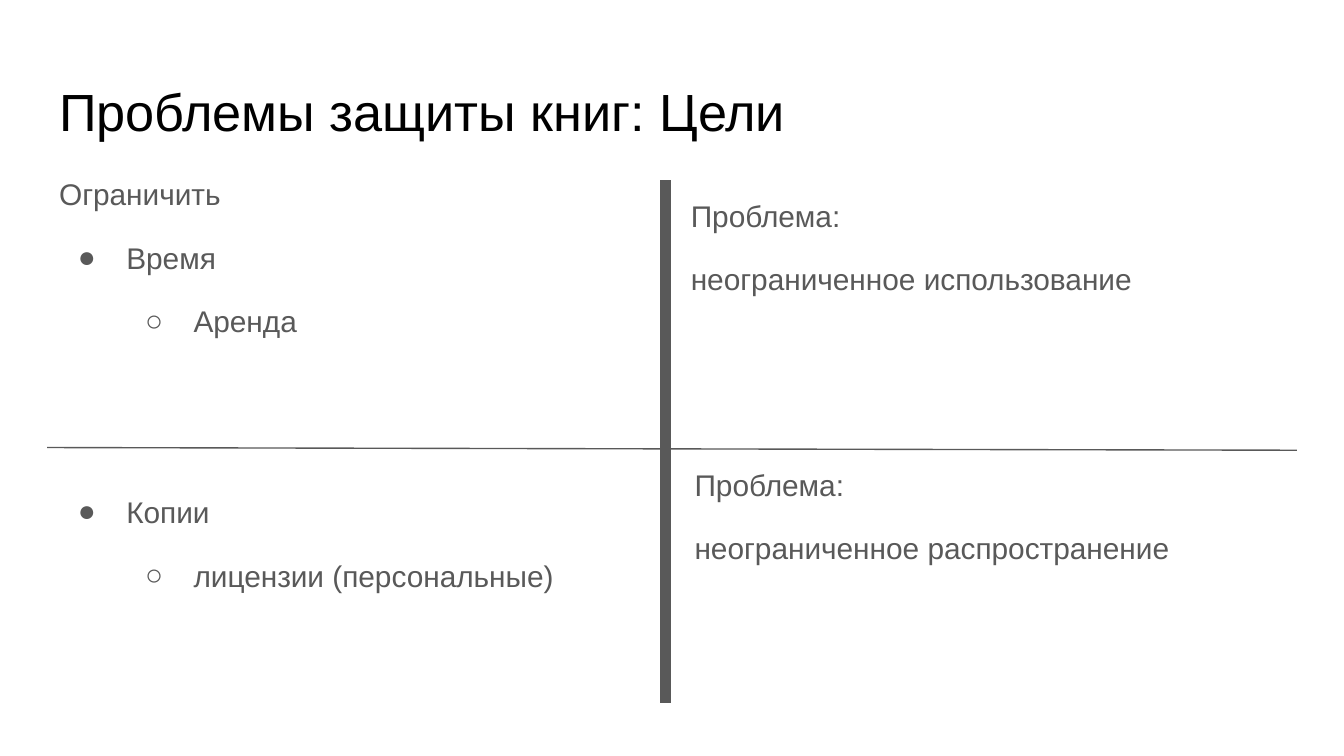
"""Build the slide on the goals and problems of book protection."""
from lxml import etree
from pptx import Presentation
from pptx.dml.color import RGBColor
from pptx.enum.shapes import MSO_CONNECTOR
from pptx.enum.text import MSO_ANCHOR, MSO_AUTO_SIZE, PP_ALIGN
from pptx.oxml.ns import qn
from pptx.util import Inches, Pt

BLACK = RGBColor(0x00, 0x00, 0x00)
GRAY = RGBColor(0x59, 0x59, 0x59)
STRAIGHT = MSO_CONNECTOR.STRAIGHT
TOP = MSO_ANCHOR.TOP
LEFT = PP_ALIGN.LEFT
NO_AUTOFIT = MSO_AUTO_SIZE.NONE
FONT = "Arial"
BULLETS = ("●", "○")
GAP = 12
SECTION_GAP = 80


def place(shape, left, top, width, height):
    """Position a text shape and give its frame even insets."""
    shape.left, shape.top = Inches(left), Inches(top)
    shape.width, shape.height = Inches(width), Inches(height)
    frame = shape.text_frame
    frame.word_wrap = True
    frame.auto_size = NO_AUTOFIT
    frame.vertical_anchor = TOP
    frame.margin_left = frame.margin_right = Inches(0.1)
    frame.margin_top = frame.margin_bottom = Inches(0.1)
    return frame


def style_runs(paragraph, size, color):
    """Format every run of a paragraph."""
    paragraph.alignment = LEFT
    for run in paragraph.runs:
        run.font.name = FONT
        run.font.size = Pt(size)
        run.font.color.rgb = color


def set_bullet(paragraph, level):
    """Indent a paragraph and give it the bullet of its level, if any."""
    properties = paragraph._p.get_or_add_pPr()
    if level is None:
        properties.set("marL", "0")
        properties.set("indent", "0")
        etree.SubElement(properties, qn("a:buNone"))
        return
    paragraph.level = level
    properties.set("marL", str(Inches(0.5 * (level + 1))))
    properties.set("indent", str(Inches(-0.36)))
    color = etree.SubElement(properties, qn("a:buClr"))
    etree.SubElement(color, qn("a:srgbClr"), val=str(GRAY))
    etree.SubElement(properties, qn("a:buFont"), typeface=FONT)
    etree.SubElement(properties, qn("a:buChar"), char=BULLETS[level])


def fill_lines(frame, lines):
    """Write lines given as text, bullet level and space before."""
    frame.text = "\n".join(text for text, _, _ in lines)
    for paragraph, (_, level, space) in zip(frame.paragraphs, lines):
        paragraph.line_spacing = 1.15
        paragraph.space_before = Pt(space)
        paragraph.space_after = Pt(0)
        set_bullet(paragraph, level)
        style_runs(paragraph, 16, GRAY)


def fill_problem(frame, problem):
    """Write a problem under its heading."""
    fill_lines(frame, [("Проблема:", None, 0), (problem, None, GAP)])


def add_divider(slide, start, end, weight):
    """Draw a straight gray divider without a shadow."""
    divider = slide.shapes.add_connector(
        STRAIGHT, *(Inches(value) for value in start + end))
    divider.line.color.rgb = GRAY
    divider.line.width = Pt(weight)
    etree.SubElement(divider._element.spPr, qn("a:effectLst"))


def main():
    """Create the slide and save it."""
    presentation = Presentation()
    presentation.slide_width = Inches(10)
    presentation.slide_height = Inches(10 * 9 / 16)
    slide = presentation.slides.add_slide(presentation.slide_layouts[3])
    title, goals, time_problem = slide.placeholders

    heading = place(title, 0.34, 0.49, 9.32, 0.63)
    heading.text = "Проблемы защиты книг: Цели"
    style_runs(heading.paragraphs[0], 28, BLACK)

    fill_lines(place(goals, 0.34, 1.17, 5.88, 4.12), [
        ("Ограничить", None, 0),
        ("Время", 0, GAP),
        ("Аренда", 1, GAP),
        ("Копии", 0, SECTION_GAP),
        ("лицензии (персональные)", 1, GAP),
    ])
    fill_problem(place(time_problem, 5.04, 1.33, 4.03, 1.44),
                 "неограниченное использование")
    copies_problem = slide.shapes.add_textbox(0, 0, 0, 0)
    fill_problem(place(copies_problem, 5.07, 3.33, 4.33, 0.5),
                 "неограниченное распространение")

    add_divider(slide, (4.95, 1.34), (4.95, 5.23), 6)
    add_divider(slide, (0.35, 3.33), (9.65, 3.35), 0.75)
    presentation.save("out.pptx")


if __name__ == "__main__":
    main()
